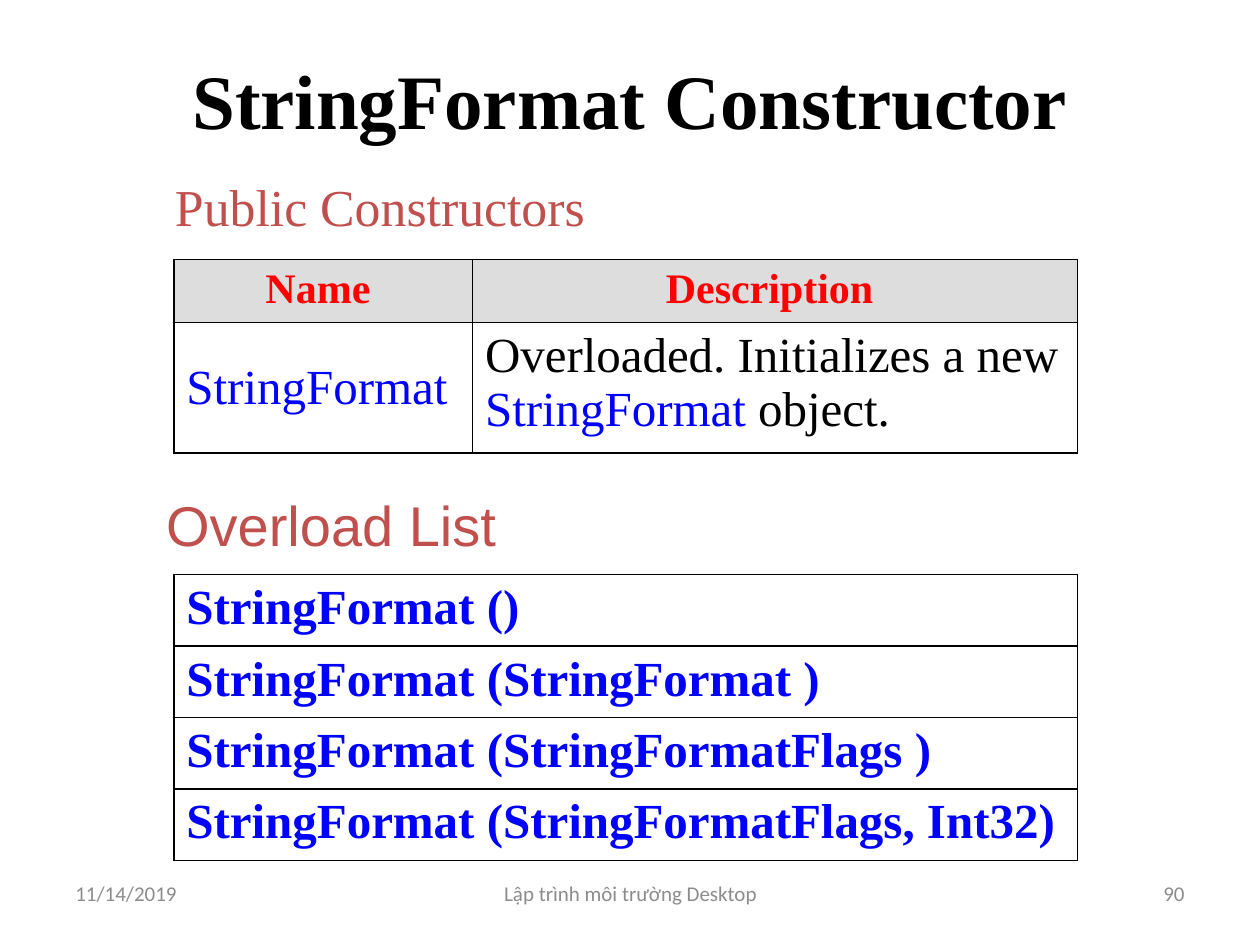
from lxml.etree import SubElement
from pptx import Presentation
from pptx.dml.color import RGBColor
from pptx.enum.text import MSO_ANCHOR as Anchor, PP_ALIGN as Align
from pptx.oxml.ns import qn
from pptx.util import Inches, Pt

COLORS = {
    "black": "000000", "heading": "C0504D", "header": "FF0000",
    "link": "0000FF", "header_fill": "DDDDDD", "body_fill": "FFFFFF",
    "footer": "8C8C8C",
}
SERIF = "Times New Roman"


def rgb(name):
    return RGBColor.from_string(COLORS[name])


def write(frame, *runs, size, font=SERIF, bold=False, align=Align.LEFT,
          line=None, before=0):
    """Fill the first paragraph with (text, colour name) runs."""
    frame.word_wrap = True
    paragraph = frame.paragraphs[0]
    paragraph.alignment = align
    paragraph.line_spacing = line
    paragraph.space_before = Pt(before)
    for text, color in runs:
        run = paragraph.add_run()
        run.text = text
        run.font.name = font
        run.font.size = Pt(size)
        run.font.bold = bold
        run.font.color.rgb = rgb(color)


def add_text(slide, box, text, color, anchor=Anchor.TOP, **style):
    frame = slide.shapes.add_textbox(*map(Inches, box)).text_frame
    frame.vertical_anchor = anchor
    write(frame, (text, color), **style)


def style_cell(cell, fill):
    """Give the cell a plain fill and a thin black border."""
    properties = cell._tc.get_or_add_tcPr()
    for side in ("a:lnL", "a:lnR", "a:lnT", "a:lnB"):
        border = SubElement(properties, qn(side), w=str(Pt(1)))
        solid = SubElement(border, qn("a:solidFill"))
        SubElement(solid, qn("a:srgbClr"), val=COLORS["black"])
    cell.fill.solid()
    cell.fill.fore_color.rgb = rgb(fill)


def add_grid(slide, left, top, widths, heights):
    table = slide.shapes.add_table(
        len(heights), len(widths), Inches(left), Inches(top),
        Inches(sum(widths)), Inches(sum(heights))).table
    table.first_row = table.horz_banding = False
    for column, width in zip(table.columns, widths):
        column.width = Inches(width)
    for row, height in zip(table.rows, heights):
        row.height = Inches(height)
    return table


def add_constructors(slide, left, top):
    add_text(slide, (left - 0.09, top - 0.55, 4.42, 0.66), "Public Constructors",
             "heading", size=29.6, line=0.6, before=6)
    table = add_grid(slide, left, top, (2.37, 4.8), (0.47, 0.96))
    for column, label in enumerate(("Name ", "Description ")):
        cell = table.cell(0, column)
        style_cell(cell, "header_fill")
        write(cell.text_frame, (label, "header"), size=24, bold=True,
              align=Align.CENTER)
    name, description = table.cell(1, 0), table.cell(1, 1)
    for cell in (name, description):
        style_cell(cell, "body_fill")
    name.vertical_anchor = Anchor.MIDDLE
    write(name.text_frame, ("StringFormat", "link"), size=28)
    write(description.text_frame, ("Overloaded. Initializes a new ", "black"),
          ("StringFormat", "link"), (" object.", "black"), size=28)


def add_overloads(slide, left, top):
    signatures = ("()", "(StringFormat )", "(StringFormatFlags )",
                  "(StringFormatFlags, Int32)")
    table = add_grid(slide, left, top, (7.17,), (0.53,) * len(signatures))
    for row, signature in enumerate(signatures):
        cell = table.cell(row, 0)
        style_cell(cell, "body_fill")
        write(cell.text_frame, (f"StringFormat {signature}", "link"), size=28,
              bold=True)
    add_text(slide, (left - 0.16, top - 0.61, 4.02, 0.66), "Overload List",
             "heading", size=32, font="Arial", line=0.8, before=6)


def add_footer(slide, top):
    parts = (
        (0.5, 2.33, "11/14/2019", Align.LEFT),
        (3.42, 3.17, "Lập trình môi trường Desktop", Align.CENTER),
        (7.17, 2.33, "90", Align.RIGHT),
    )
    for left, width, text, align in parts:
        add_text(slide, (left, top, width, 0.52), text, "footer", size=12,
                 font="Calibri", align=align, anchor=Anchor.MIDDLE)


def main():
    deck = Presentation()
    deck.slide_width, deck.slide_height = Inches(10), Inches(7.5)
    slide = deck.slides.add_slide(deck.slide_layouts[6])
    add_text(slide, (0.5, 0.16, 9, 1.25), "StringFormat Constructor", "black",
             size=44, bold=True, align=Align.CENTER, anchor=Anchor.MIDDLE)
    add_constructors(slide, 1.38, 2.06)
    add_overloads(slide, 1.38, 4.56)
    add_footer(slide, 6.83)
    deck.save("out.pptx")


if __name__ == "__main__":
    main()
